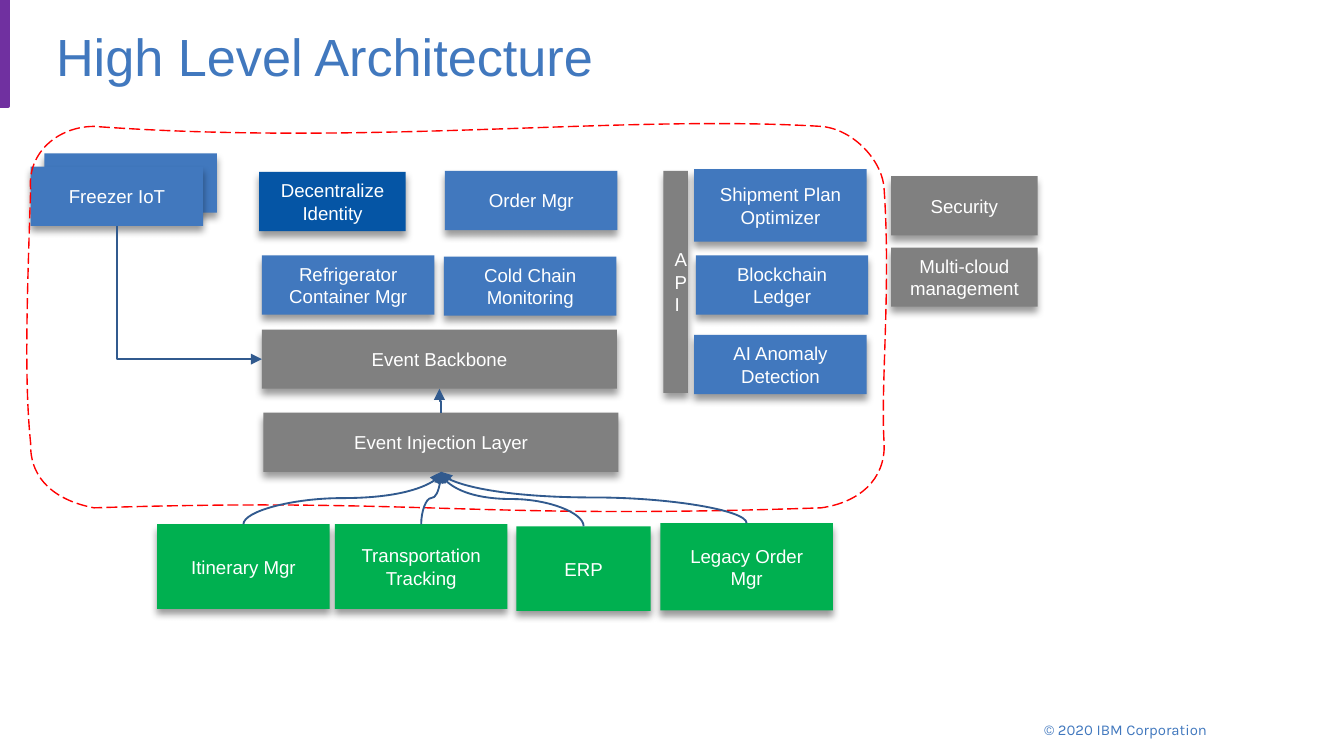
from lxml.etree import SubElement
from pptx import Presentation
from pptx.dml.color import RGBColor
from pptx.enum.dml import MSO_LINE_DASH_STYLE as DASH
from pptx.enum.shapes import MSO_CONNECTOR_TYPE as LINK, MSO_SHAPE as SHAPE
from pptx.enum.text import MSO_ANCHOR as ANCHOR, MSO_AUTO_SIZE as AUTO, PP_ALIGN as ALIGN
from pptx.oxml.ns import qn
from pptx.util import Cm, Pt

BLUE = RGBColor(0x41, 0x78, 0xBE)
DEEP_BLUE = RGBColor(0x05, 0x55, 0xA5)
LINE_BLUE = RGBColor(0x31, 0x5A, 0x8E)
GRAY = RGBColor(0x80, 0x80, 0x80)
GREEN = RGBColor(0x00, 0xB0, 0x50)
PURPLE = RGBColor(0x70, 0x30, 0xA0)
RED = RGBColor(0xFF, 0x00, 0x00)
WHITE = RGBColor(0xFF, 0xFF, 0xFF)

deck = Presentation()
deck.slide_width, deck.slide_height = Cm(25.4), Cm(14.29)
page = deck.slides.add_slide(deck.slide_layouts[6])
shapes = page.shapes


def write(box, text, font_name, size, color, align):
    para = box.text_frame.paragraphs[0]
    para.text = text
    para.alignment = align
    para.font.name, para.font.size = font_name, Pt(size)
    para.font.color.rgb = color


def link_vertical(kind, preset, start, end):
    """Connector that leaves its start vertically: a horizontal one turned by 270 degrees."""
    (x1, y1), (x2, y2) = start, end
    mid_x, mid_y = (x1 + x2) // 2, (y1 + y2) // 2
    half_rise = (y1 - y2) // 2
    link = shapes.add_connector(kind, mid_x - half_rise, mid_y + x1 - mid_x,
                                mid_x + half_rise, mid_y + x2 - mid_x)
    link.line.color.rgb = LINE_BLUE
    link.line.width = Pt(1)
    properties = link._element.spPr
    properties.find(qn("a:xfrm")).set("rot", str(270 * 60000))
    properties.find(qn("a:prstGeom")).set("prst", preset)
    SubElement(properties.find(qn("a:ln")), qn("a:tailEnd"), type="triangle")
    SubElement(properties, qn("a:effectLst"))


# Accent bar, title and copyright line
bar = shapes.add_shape(SHAPE.RECTANGLE, 0, 0, Cm(0.15), Cm(2.01))
bar.shadow.inherit = False
bar.fill.solid()
bar.fill.fore_color.rgb = bar.line.color.rgb = PURPLE
bar.line.width = Pt(2)

title = shapes.add_textbox(Cm(0.81), Cm(0.13), Cm(23.32), Cm(1.83))
title.text_frame.word_wrap = True
title.text_frame.vertical_anchor = ANCHOR.MIDDLE
write(title, "High Level Architecture", "Arial", 28, BLUE, ALIGN.LEFT)

footer = shapes.add_textbox(Cm(19.41), Cm(13.49), Cm(3.66), Cm(0.61))
footer.text_frame.word_wrap = False
footer.text_frame.auto_size = AUTO.SHAPE_TO_FIT_TEXT
write(footer, "© 2020 IBM Corporation", "Karla", 8, BLUE, ALIGN.RIGHT)

# Component boxes: label, fill, left, top, width, height
WIDE, NARROW, LAYER, LOW, TALL = 3.26, 2.77, 6.71, 1.12, 1.6
components = [
    ("", BLUE, 0.84, 2.9, WIDE, LOW),
    ("Freezer IoT", BLUE, 0.58, 3.15, WIDE, LOW),
    ("Decentralize Identity", DEEP_BLUE, 4.9, 3.25, NARROW, LOW),
    ("Order Mgr", BLUE, 8.41, 3.23, WIDE, LOW),
    ("Refrigerator Container Mgr", BLUE, 4.95, 4.83, WIDE, LOW),
    ("Cold Chain Monitoring", BLUE, 8.39, 4.85, WIDE, LOW),
    ("Event Backbone", GRAY, 4.95, 6.23, LAYER, LOW),
    ("Event Injection Layer", GRAY, 4.98, 7.8, LAYER, LOW),
    ("API", GRAY, 12.54, 3.23, 0.46, 4.2),
    ("Shipment Plan Optimizer", BLUE, 13.12, 3.2, WIDE, 1.37),
    ("Blockchain Ledger", BLUE, 13.15, 4.83, WIDE, LOW),
    ("AI Anomaly Detection", BLUE, 13.12, 6.33, WIDE, LOW),
    ("Security", GRAY, 16.84, 3.33, NARROW, LOW),
    ("Multi-cloud management", GRAY, 16.84, 4.68, NARROW, LOW),
    ("Itinerary Mgr", GREEN, 2.97, 9.91, WIDE, TALL),
    ("Transportation Tracking", GREEN, 6.33, 9.91, WIDE, TALL),
    ("ERP", GREEN, 9.76, 9.95, 2.54, TALL),
    ("Legacy Order Mgr", GREEN, 12.48, 9.89, WIDE, 1.65),
]
boxes = {}
for label, color, *frame in components:
    box = shapes.add_shape(SHAPE.RECTANGLE, *map(Cm, frame))
    box.fill.solid()
    box.fill.fore_color.rgb = color
    box.line.fill.background()
    box.shadow.inherit = False
    shadow = SubElement(box._element.spPr.find(qn("a:effectLst")), qn("a:outerShdw"),
                        blurRad=str(Pt(4)), dist=str(Pt(3)), dir=str(90 * 60000), rotWithShape="0")
    black = SubElement(shadow, qn("a:srgbClr"), val="000000")
    SubElement(black, qn("a:alpha"), val="40000")
    box.text_frame.word_wrap = True
    box.text_frame.vertical_anchor = ANCHOR.MIDDLE
    if label:
        write(box, label, "Arial", 10, WHITE, ALIGN.CENTER)
    boxes[label] = box

# Dashed system boundary: start, then three control points per curve
boundary_start = (0.58, 3.58)
boundary_curves = [
    (0.51, 2.9), (1.09, 2.39), (1.78, 2.39),
    (7.04, 2.77), (11.71, 2.16), (15.52, 2.39),
    (16.13, 2.44), (16.69, 3.05), (16.71, 3.58),
    (16.84, 5.46), (16.64, 7.29), (16.71, 8.38),
    (16.74, 9.07), (16.23, 9.5), (15.52, 9.6),
    (8.86, 9.83), (7.95, 9.4), (1.78, 9.6),
    (1.09, 9.47), (0.56, 9.09), (0.58, 8.38),
    (0.46, 7.21), (0.51, 5.69), boundary_start,
]
builder = shapes.build_freeform(*map(Cm, boundary_start))
builder.add_line_segments([(Cm(x), Cm(y)) for x, y in boundary_curves], close=True)
boundary = builder.convert_to_shape()
boundary.shadow.inherit = False
boundary.fill.background()
boundary.line.color.rgb = RED
boundary.line.width = Pt(0.75)
boundary.line.dash_style = DASH.LONG_DASH

# Turn each three straight segments into one Bézier curve
segments = list(boundary._element.iter(qn("a:lnTo")))
for first, second, third in zip(segments[::3], segments[1::3], segments[2::3]):
    first.tag = qn("a:cubicBezTo")
    for segment in (second, third):
        first.append(segment[0])
        segment.getparent().remove(segment)

# Connectors between the centres of box edges
top = {name: (box.left + box.width // 2, box.top) for name, box in boxes.items()}
bottom = {name: (x, y + boxes[name].height) for name, (x, y) in top.items()}
backbone = boxes["Event Backbone"]
backbone_side = (backbone.left, backbone.top + backbone.height // 2)

link_vertical(LINK.ELBOW, "bentConnector2", bottom["Freezer IoT"], backbone_side)
link_vertical(LINK.ELBOW, "bentConnector3", top["Event Injection Layer"], bottom["Event Backbone"])
for source in ("Itinerary Mgr", "Legacy Order Mgr", "ERP", "Transportation Tracking"):
    link_vertical(LINK.CURVE, "curvedConnector3", top[source], bottom["Event Injection Layer"])

deck.save("out.pptx")
